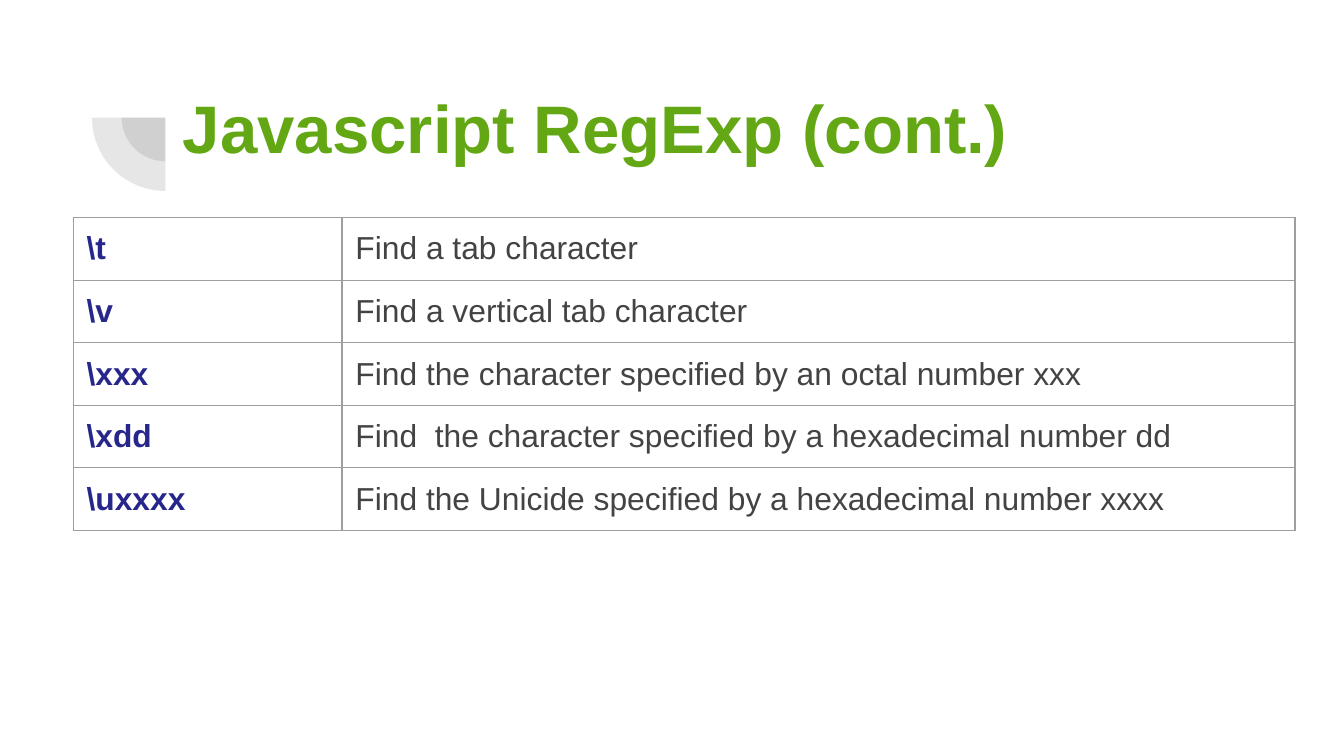
from lxml.etree import SubElement
from pptx import Presentation
from pptx.dml.color import RGBColor
from pptx.enum.shapes import MSO_SHAPE
from pptx.enum.text import MSO_ANCHOR, PP_ALIGN
from pptx.oxml.ns import qn
from pptx.util import Pt

TITLE = "Javascript RegExp (cont.)"
ESCAPES = [
    (r"\t", "Find a tab character"),
    (r"\v", "Find a vertical tab character"),
    (r"\xxx", "Find the character specified by an octal number xxx"),
    (r"\xdd", "Find  the character specified by a hexadecimal number dd"),
    (r"\uxxxx", "Find the Unicide specified by a hexadecimal number xxxx"),
]
COLORS = {"title": "63A814", "escape": "27278B", "meaning": "434343",
          "border": "9E9E9E", "pie": "424242"}
FONT = "Arial"
COL_WIDTHS = (144, 510.5)
ROW_HEIGHT = 33.4
INSET = 7.2
PIE_CENTER = (88.6, 63)
PIE_SIZES = (46.8, 78.6)


def style_text(p, size, color, bold):
    p.alignment = PP_ALIGN.LEFT
    for r in p.runs:
        r.font.name, r.font.size, r.font.bold = FONT, Pt(size), bold
        r.font.color.rgb = RGBColor.from_string(COLORS[color])


def add_quarter_pie(s, size):
    """Add a translucent quarter disc that opens to the lower left."""
    left, top = (c - size / 2 for c in PIE_CENTER)
    sp = s.shapes.add_shape(MSO_SHAPE.PIE, Pt(left), Pt(top), Pt(size), Pt(size))
    sp.adjustments[0], sp.adjustments[1] = 108, 162
    sp.rotation = 270
    sp.shadow.inherit = False
    sp.line.fill.background()
    sp.fill.solid()
    sp.fill.fore_color.rgb = RGBColor.from_string(COLORS["pie"])
    color = sp.element.spPr.find(qn("a:solidFill")).find(qn("a:srgbClr"))
    SubElement(color, qn("a:alpha"), val="13000")


def add_borders(cell):
    tc_pr = cell._tc.get_or_add_tcPr()
    for i, side in enumerate(("a:lnL", "a:lnR", "a:lnT", "a:lnB")):
        ln = tc_pr.makeelement(qn(side), {"w": str(Pt(0.75))})
        fill = SubElement(ln, qn("a:solidFill"))
        SubElement(fill, qn("a:srgbClr"), val=COLORS["border"])
        tc_pr.insert(i, ln)


def add_title(s):
    sp = s.shapes.title
    sp.left, sp.top, sp.width, sp.height = Pt(90.7), Pt(35.3), Pt(556.6), Pt(52.6)
    tf = sp.text_frame
    tf.text = TITLE
    tf.word_wrap = True
    tf.vertical_anchor = MSO_ANCHOR.TOP
    tf.margin_left = tf.margin_right = Pt(INSET)
    tf.margin_top, tf.margin_bottom = Pt(10.9), 0
    style_text(tf.paragraphs[0], 36, "title", True)


def add_escape_table(s):
    frame = s.shapes.add_table(len(ESCAPES), len(COL_WIDTHS), Pt(39.2), Pt(116.6),
                               Pt(sum(COL_WIDTHS)), Pt(ROW_HEIGHT * len(ESCAPES)))
    table = frame.table
    table.first_row = table.horz_banding = False
    for column, width in zip(table.columns, COL_WIDTHS):
        column.width = Pt(width)
    for i, texts in enumerate(ESCAPES):
        table.rows[i].height = Pt(ROW_HEIGHT)
        for j, (text, color) in enumerate(zip(texts, ("escape", "meaning"))):
            cell = table.cell(i, j)
            cell.text = text
            cell.fill.background()
            cell.margin_left = cell.margin_right = Pt(INSET)
            cell.margin_top = cell.margin_bottom = Pt(INSET)
            style_text(cell.text_frame.paragraphs[0], 17, color, j == 0)
            add_borders(cell)


prs = Presentation()
prs.slide_width, prs.slide_height = Pt(720), Pt(405)
s = prs.slides.add_slide(prs.slide_layouts[5])
for size in PIE_SIZES:
    add_quarter_pie(s, size)
add_title(s)
add_escape_table(s)
prs.save("out.pptx")
